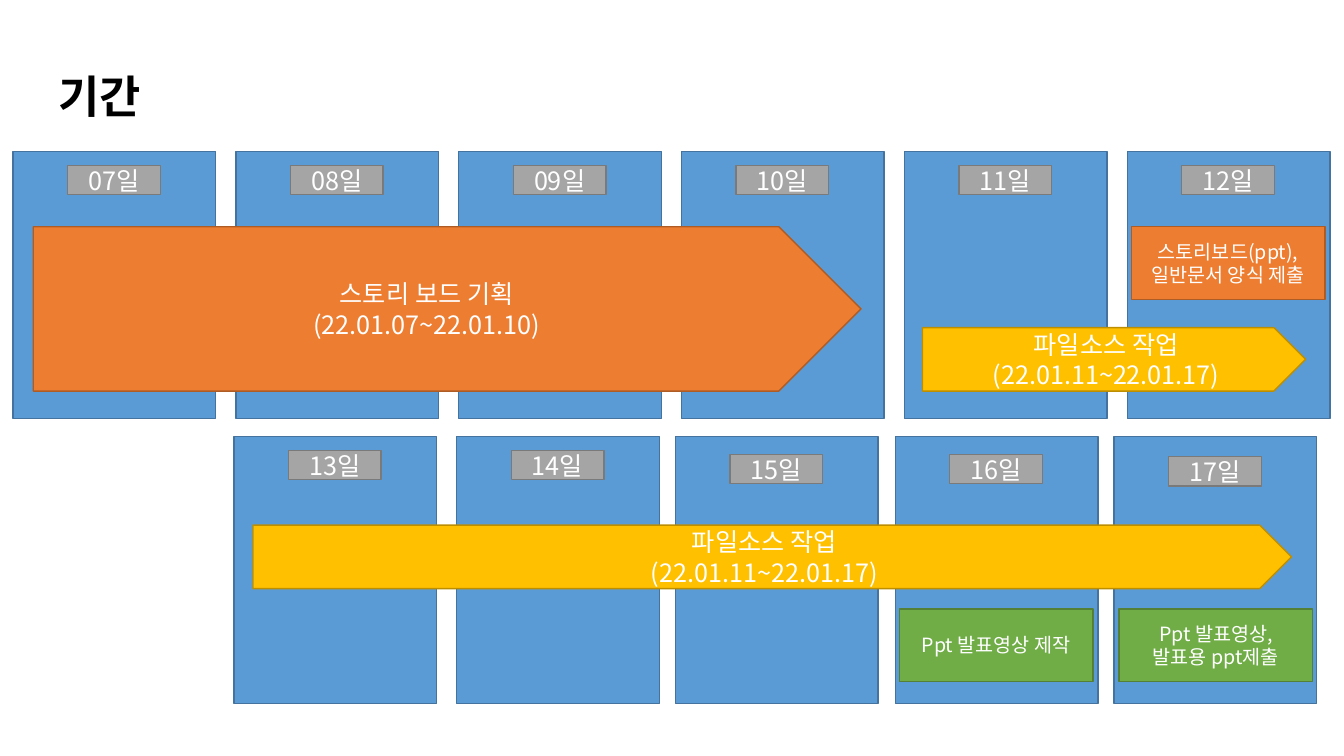
"""Build the project period slide: day panels with task arrows and deliverables."""
from dataclasses import dataclass

from lxml import etree
from pptx import Presentation
from pptx import util as u
from pptx.dml.color import RGBColor
from pptx.enum import shapes, text
from pptx.oxml import ns

FONT = "Noto Sans CJK KR"
BLACK = RGBColor(0x00, 0x00, 0x00)
WHITE = RGBColor(0xFF, 0xFF, 0xFF)
BLUE, BLUE_EDGE = RGBColor(0x5B, 0x9B, 0xD5), RGBColor(0x43, 0x73, 0x9E)
GRAY, GRAY_EDGE = RGBColor(0xA5, 0xA5, 0xA5), RGBColor(0x7A, 0x7A, 0x7A)
ORANGE, ORANGE_EDGE = RGBColor(0xED, 0x7D, 0x31), RGBColor(0xAF, 0x5C, 0x24)
YELLOW, YELLOW_EDGE = RGBColor(0xFF, 0xC0, 0x00), RGBColor(0xBD, 0x8E, 0x00)
GREEN, GREEN_EDGE = RGBColor(0x70, 0xAD, 0x47), RGBColor(0x53, 0x80, 0x35)
RECT = shapes.MSO_SHAPE.RECTANGLE
ARROW = shapes.MSO_SHAPE.PENTAGON


@dataclass(frozen=True)
class Block:
    left: float
    top: float
    width: float
    height: float
    fill: RGBColor
    edge: RGBColor
    lines: tuple[str, ...] = ()
    size: int = 18
    kind: shapes.MSO_SHAPE = RECT


@dataclass(frozen=True)
class Day:
    number: int
    left: float
    top: float
    label_top: float


DAYS = [Day(7 + i, 0.13 + 2.21 * i, 1.5, 1.64) for i in range(6)] + [
    Day(13, 2.32, 4.33, 4.47),
    Day(14, 4.53, 4.33, 4.47),
    Day(15, 6.7, 4.33, 4.51),
    Day(16, 8.88, 4.33, 4.51),
    Day(17, 11.05, 4.33, 4.53),
]

TASKS = [
    Block(0.33, 2.25, 8.21, 1.63, ORANGE, ORANGE_EDGE,
          ("스토리 보드 기획", "(22.01.07~22.01.10)"), kind=ARROW),
    Block(11.22, 2.25, 1.92, 0.72, ORANGE, ORANGE_EDGE,
          ("스토리보드(ppt),", "일반문서 양식 제출"), 14),
    Block(9.15, 3.25, 3.8, 0.63, YELLOW, YELLOW_EDGE,
          ("파일소스 작업(22.01.11~22.01.17)",), kind=ARROW),
    Block(2.51, 5.21, 10.3, 0.63, YELLOW, YELLOW_EDGE,
          ("파일소스 작업", "(22.01.11~22.01.17)"), kind=ARROW),
    Block(8.92, 6.04, 1.92, 0.72, GREEN, GREEN_EDGE, ("Ppt 발표영상 제작",), 14),
    Block(11.1, 6.04, 1.92, 0.72, GREEN, GREEN_EDGE,
          ("Ppt 발표영상,", "발표용 ppt제출"), 14),
]


def add_run(paragraph, wording: str, size: int, color: RGBColor, bold: bool = False) -> None:
    run = paragraph.add_run()
    run.text = wording
    run.font.size = u.Pt(size)
    run.font.bold = bold
    run.font.color.rgb = color
    run.font.name = FONT
    latin = run.font._element.find(ns.qn("a:latin"))
    east_asian = etree.Element(ns.qn("a:ea"), typeface=FONT)
    latin.addnext(east_asian)


def draw_block(slide, block: Block) -> None:
    box = slide.shapes.add_shape(
        block.kind, u.Inches(block.left), u.Inches(block.top),
        u.Inches(block.width), u.Inches(block.height))
    box.shadow.inherit = False
    box.fill.solid()
    box.fill.fore_color.rgb = block.fill
    box.line.color.rgb = block.edge
    box.line.width = u.Pt(1)
    frame = box.text_frame
    frame.word_wrap = True
    frame.vertical_anchor = text.MSO_ANCHOR.MIDDLE
    for index, line in enumerate(block.lines):
        paragraph = frame.add_paragraph() if index else frame.paragraphs[0]
        paragraph.alignment = text.PP_ALIGN.CENTER
        add_run(paragraph, line, block.size, WHITE)


def draw_day(slide, day: Day) -> None:
    draw_block(slide, Block(day.left, day.top, 2.01, 2.65, BLUE, BLUE_EDGE))
    draw_block(slide, Block(day.left + 0.54, day.label_top, 0.92, 0.29,
                            GRAY, GRAY_EDGE, (f"{day.number:02}일",)))


def draw_title(slide) -> None:
    title = slide.shapes.add_textbox(
        u.Inches(0.48), u.Inches(0.64), u.Inches(11.5), u.Inches(0.68))
    frame = title.text_frame
    frame.word_wrap = True
    frame.vertical_anchor = text.MSO_ANCHOR.MIDDLE
    frame.paragraphs[0].line_spacing = 0.9
    add_run(frame.paragraphs[0], "기간", 32, BLACK, bold=True)


def main() -> None:
    deck = Presentation()
    deck.slide_width, deck.slide_height = u.Inches(13.33), u.Inches(7.5)
    slide = deck.slides.add_slide(deck.slide_layouts[6])
    draw_title(slide)
    for day in DAYS:
        draw_day(slide, day)
    for task in TASKS:
        draw_block(slide, task)
    deck.save("out.pptx")


if __name__ == "__main__":
    main()
